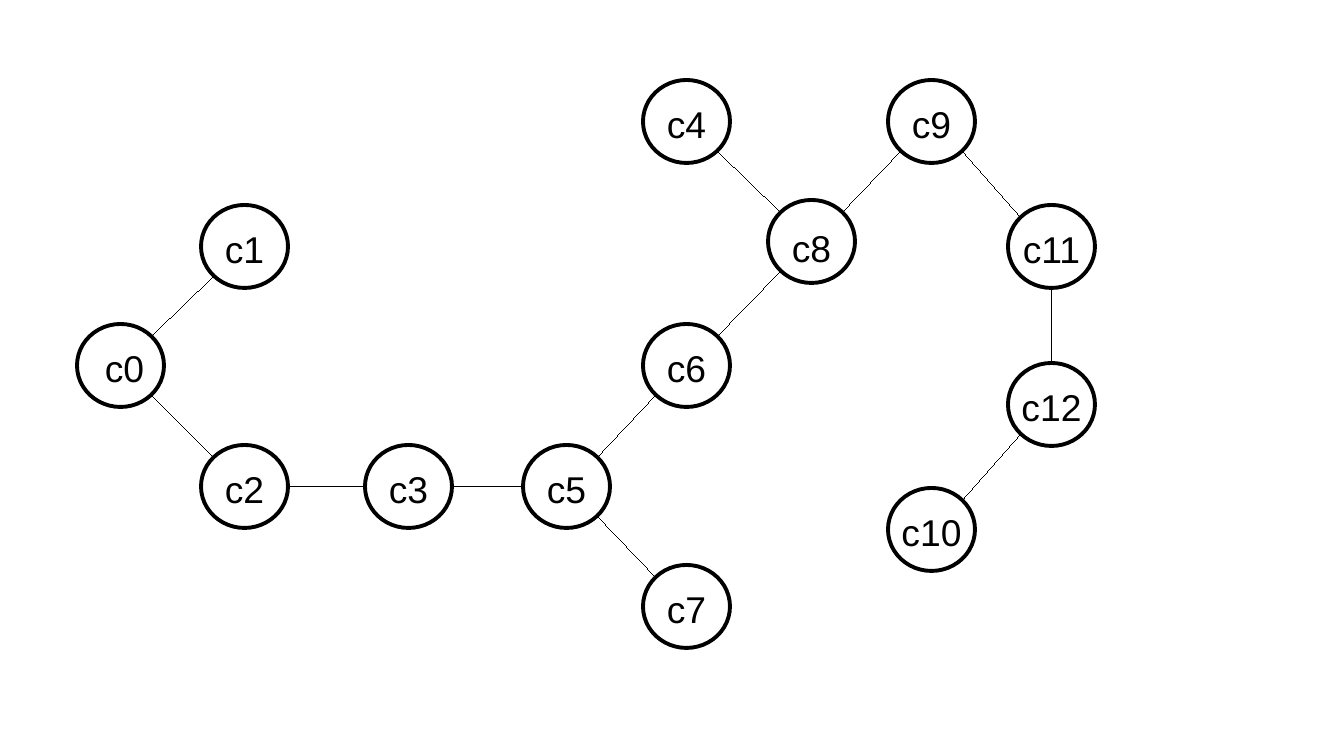
from pptx import Presentation
from pptx.dml.color import RGBColor
from pptx.enum.shapes import MSO_CONNECTOR as Connector, MSO_SHAPE as Shape
from pptx.enum.text import MSO_AUTO_SIZE as AutoSize, PP_ALIGN as Align
from pptx.oxml import parse_xml
from pptx.oxml.ns import nsdecls
from pptx.util import Pt
from math import sqrt

# Content: left and top of each node in px
NODES = {
    "c0": (77, 324), "c1": (201, 205), "c2": (201, 445), "c3": (365, 445),
    "c5": (523, 445), "c6": (643, 324), "c7": (643, 565), "c8": (768, 200),
    "c4": (643, 80), "c9": (888, 80), "c11": (1008, 205), "c12": (1008, 363),
    "c10": (888, 488),
}
EDGES = [
    ("c0", "c1"), ("c0", "c2"), ("c2", "c3"), ("c3", "c5"),
    ("c5", "c6"), ("c5", "c7"), ("c6", "c8"), ("c8", "c4"),
    ("c8", "c9"), ("c9", "c11"), ("c11", "c12"), ("c12", "c10"),
]
LABEL_SHIFTS = {"c0": (4, 0), "c8": (0, 4)}

BLACK = RGBColor(0, 0, 0)
HAIRLINE = Pt(0.01)
NODE_WIDTH, NODE_HEIGHT = 87, 83
LABEL_HEIGHT, LABEL_TOP = 54, 15
LABEL_WIDTHS = {2: 67, 3: 87}  # by number of letters


def px(length):
    return round(length * 914400 / 122)


def sign(number):
    return (number > 0) - (number < 0)


def edge_point(node, other):
    """Point on the node's outline, in the nearest of eight directions."""
    (left, top), (other_left, other_top) = NODES[node], NODES[other]
    across, down = sign(other_left - left), sign(other_top - top)
    reach = 1 / sqrt(2) if across and down else 1
    return (px(left + NODE_WIDTH / 2 * (1 + across * reach)),
            px(top + NODE_HEIGHT / 2 * (1 + down * reach)))


presentation = Presentation()
presentation.slide_width, presentation.slide_height = px(1344), px(756)
slide = presentation.slides.add_slide(presentation.slide_layouts[6])
shapes = slide.shapes

# Circles
for left, top in NODES.values():
    circle = shapes.add_shape(Shape.OVAL, px(left), px(top),
                              px(NODE_WIDTH), px(NODE_HEIGHT))
    circle.shadow.inherit = False
    circle.fill.background()
    circle.line.color.rgb = BLACK
    circle.line.width = Pt(2.3)

# Edges
for start, end in EDGES:
    edge = shapes.add_connector(Connector.STRAIGHT, *edge_point(start, end),
                                *edge_point(end, start))
    edge.line.color.rgb = BLACK
    edge.line.width = HAIRLINE
    edge._element.spPr.append(parse_xml(f"<a:effectLst {nsdecls('a')}/>"))

# Labels
for name, (left, top) in NODES.items():
    width = LABEL_WIDTHS[len(name)]
    shift_x, shift_y = LABEL_SHIFTS.get(name, (0, 0))
    label = shapes.add_textbox(px(left + (NODE_WIDTH - width) / 2 + shift_x),
                               px(top + LABEL_TOP + shift_y),
                               px(width), px(LABEL_HEIGHT))
    frame = label.text_frame
    frame.text = name
    frame.word_wrap = False
    frame.auto_size = AutoSize.SHAPE_TO_FIT_TEXT
    paragraph = frame.paragraphs[0]
    paragraph.alignment = Align.CENTER
    font = paragraph.runs[0].font
    font.name, font.size = "Arial", Pt(22)
    font.color.rgb = BLACK

presentation.save("out.pptx")
